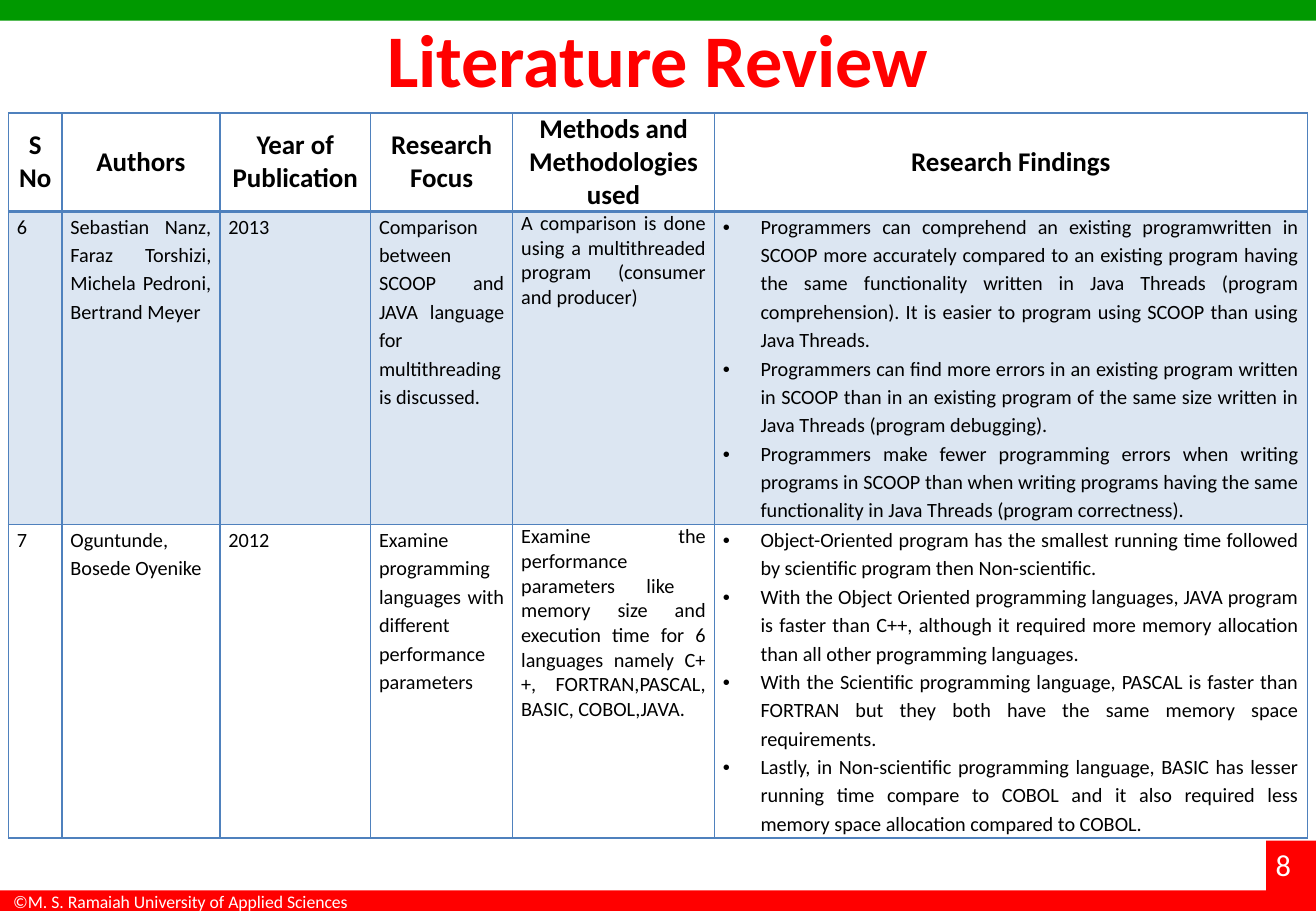
from dataclasses import dataclass

from lxml.etree import SubElement
from pptx import Presentation
from pptx.dml.color import RGBColor
from pptx.enum.shapes import MSO_SHAPE
from pptx.enum.text import MSO_ANCHOR, PP_ALIGN
from pptx.oxml.ns import qn
from pptx.slide import Slide
from pptx.table import _Cell
from pptx.text.text import _Paragraph
from pptx.util import Inches, Pt

FONT = "Calibri"
GREEN = RGBColor(0x00, 0x99, 0x00)
RED = RGBColor(0xFF, 0x00, 0x00)
WHITE = RGBColor(0xFF, 0xFF, 0xFF)
BLACK = RGBColor(0x00, 0x00, 0x00)
BORDER_BLUE = RGBColor(0x4F, 0x81, 0xBD)
BAND_BLUE = RGBColor(0xDC, 0xE6, 0xF2)


@dataclass(frozen=True)
class Bar:
    left: float
    top: float
    width: float
    height: float
    color: RGBColor


@dataclass(frozen=True)
class Label:
    text: str
    left: float
    top: float
    width: float
    height: float
    size: float
    color: RGBColor = WHITE
    bold: bool = False
    alignment: PP_ALIGN = PP_ALIGN.LEFT


@dataclass(frozen=True)
class Study:
    number: str
    authors: str
    year: str
    focus: str
    methods: str
    findings: tuple[str, ...]


BARS = [
    Bar(0, 0, 10.83, 0.17, GREEN),
    Bar(0, 7.33, 10.83, 0.17, RED),
    Bar(10.42, 6.92, 0.41, 0.58, RED),
]
LABELS = [
    Label("©M. S. Ramaiah University of Applied Sciences", 0.01, 7.28, 3.01, 0.28, 10.5),
    Label("8", 10.4, 6.92, 0.5, 0.4, 18),
    Label("Literature Review", 0.54, 0.03, 9.75, 0.9, 44, RED, True, PP_ALIGN.CENTER),
]

HEADERS = ["S No", "Authors", "Year of Publication", "Research Focus",
           "Methods and Methodologies used", "Research Findings"]
COLUMN_WIDTHS = [0.44, 1.3, 1.24, 1.17, 1.66, 4.88]
ROW_HEIGHTS = [0.81, 2.58, 2.58]
STUDIES = [
    Study(
        "6",
        "Sebastian Nanz, Faraz Torshizi, Michela Pedroni, Bertrand Meyer",
        "2013",
        "Comparison between SCOOP and JAVA language for multithreading is discussed.",
        "A comparison is done using a multithreaded program (consumer and producer) ",
        (
            "Programmers can comprehend an existing programwritten in SCOOP more accurately "
            "compared to an existing program having the same functionality written in Java "
            "Threads (program comprehension). It is easier to program using SCOOP than using "
            "Java Threads.",
            "Programmers can find more errors in an existing program written in SCOOP than in "
            "an existing program of the same size written in Java Threads (program debugging).",
            "Programmers make fewer programming errors when writing programs in SCOOP than when "
            "writing programs having the same functionality in Java Threads (program "
            "correctness).",
        ),
    ),
    Study(
        "7",
        "Oguntunde, Bosede Oyenike",
        "2012",
        "Examine programming languages with different performance parameters",
        "Examine the performance parameters like  memory size and execution time for 6 "
        "languages namely C++, FORTRAN,PASCAL, BASIC, COBOL,JAVA.",
        (
            "Object-Oriented program has the smallest running time followed by scientific "
            "program then Non-scientific.",
            "With the Object Oriented programming languages, JAVA program is faster than C++, "
            "although it required more memory allocation than all other programming languages.",
            "With the Scientific programming language, PASCAL is faster than FORTRAN but they "
            "both have the same memory space requirements. ",
            "Lastly, in Non-scientific programming language, BASIC has lesser running time "
            "compare to COBOL and it also required less memory space allocation compared to "
            "COBOL.",
        ),
    ),
]


def set_font(paragraph: _Paragraph, size: float, color: RGBColor, bold: bool) -> None:
    font = paragraph.font
    font.name = FONT
    font.size = Pt(size)
    font.bold = bold
    font.color.rgb = color


def add_bar(slide: Slide, bar: Bar) -> None:
    shape = slide.shapes.add_shape(
        MSO_SHAPE.RECTANGLE, Inches(bar.left), Inches(bar.top),
        Inches(bar.width), Inches(bar.height))
    shape.shadow.inherit = False
    shape.fill.solid()
    shape.fill.fore_color.rgb = bar.color
    shape.line.fill.background()


def add_label(slide: Slide, label: Label) -> None:
    text_box = slide.shapes.add_textbox(
        Inches(label.left), Inches(label.top), Inches(label.width), Inches(label.height))
    text_frame = text_box.text_frame
    text_frame.word_wrap = False
    text_frame.vertical_anchor = MSO_ANCHOR.MIDDLE
    paragraph = text_frame.paragraphs[0]
    paragraph.text = label.text
    paragraph.alignment = label.alignment
    set_font(paragraph, label.size, label.color, label.bold)


def add_bullet(paragraph: _Paragraph) -> None:
    properties = paragraph._p.get_or_add_pPr()
    properties.set("marL", str(Inches(0.31)))
    properties.set("indent", str(-Inches(0.31)))
    SubElement(properties, qn("a:buFont"), typeface="Arial")
    SubElement(properties, qn("a:buChar"), char="•")


def set_borders(cell: _Cell, top: float, bottom: float) -> None:
    """Draw all four borders; top and bottom are widths in points."""
    properties = cell._tc.get_or_add_tcPr()
    for side, width in (("L", 1), ("R", 1), ("T", top), ("B", bottom)):
        line = SubElement(properties, qn(f"a:ln{side}"), w=str(Pt(width)))
        fill = SubElement(line, qn("a:solidFill"))
        SubElement(fill, qn("a:srgbClr"), val=str(BORDER_BLUE))


def fill_cell(cell: _Cell, row: int, texts: tuple[str, ...], line_spacing: float,
              bulleted: bool) -> None:
    is_header = row == 0
    cell.margin_left = cell.margin_right = Inches(0.07)
    cell.margin_top = cell.margin_bottom = 0
    cell.vertical_anchor = MSO_ANCHOR.MIDDLE if is_header else MSO_ANCHOR.TOP
    set_borders(cell, top=2 if row == 1 else 1, bottom=2 if is_header else 1)
    if row == 1:
        cell.fill.solid()
        cell.fill.fore_color.rgb = BAND_BLUE
    else:
        cell.fill.background()
    cell.text_frame.text = "\n".join(texts)
    for paragraph in cell.text_frame.paragraphs:
        paragraph.alignment = PP_ALIGN.CENTER if is_header else PP_ALIGN.JUSTIFY
        paragraph.line_spacing = line_spacing
        if bulleted:
            add_bullet(paragraph)
        set_font(paragraph, 16 if is_header else 12, BLACK, is_header)


def add_review_table(slide: Slide) -> None:
    table = slide.shapes.add_table(
        len(ROW_HEIGHTS), len(COLUMN_WIDTHS), Inches(0.07), Inches(0.93),
        Inches(sum(COLUMN_WIDTHS)), Inches(sum(ROW_HEIGHTS))).table
    table.horz_banding = False
    for column, width in zip(table.columns, COLUMN_WIDTHS):
        column.width = Inches(width)
    for table_row, height in zip(table.rows, ROW_HEIGHTS):
        table_row.height = Inches(height)

    for column, header in enumerate(HEADERS):
        fill_cell(table.cell(0, column), 0, (header,), 1.0, False)
    for row, study in enumerate(STUDIES, start=1):
        plain_texts = (study.number, study.authors, study.year, study.focus, study.methods)
        for column, text in enumerate(plain_texts):
            spacing = 1.0 if text == study.methods else 1.15
            fill_cell(table.cell(row, column), row, (text,), spacing, False)
        fill_cell(table.cell(row, len(plain_texts)), row, study.findings, 1.15, True)


def main() -> None:
    presentation = Presentation()
    presentation.slide_width = Inches(10.83)
    presentation.slide_height = Inches(7.5)
    slide = presentation.slides.add_slide(presentation.slide_layouts[6])
    for bar in BARS:
        add_bar(slide, bar)
    for label in LABELS:
        add_label(slide, label)
    add_review_table(slide)
    presentation.save("out.pptx")


if __name__ == "__main__":
    main()
